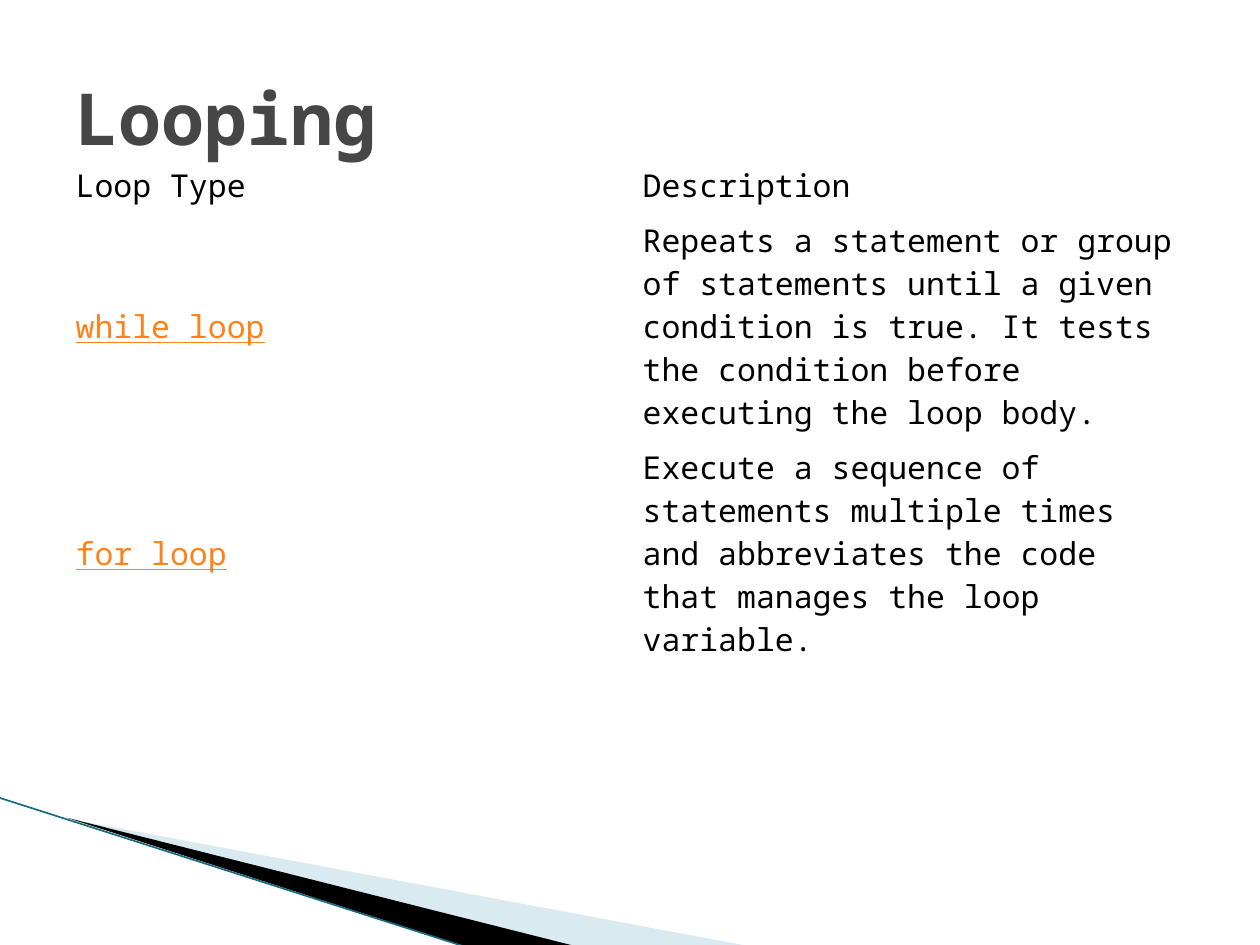
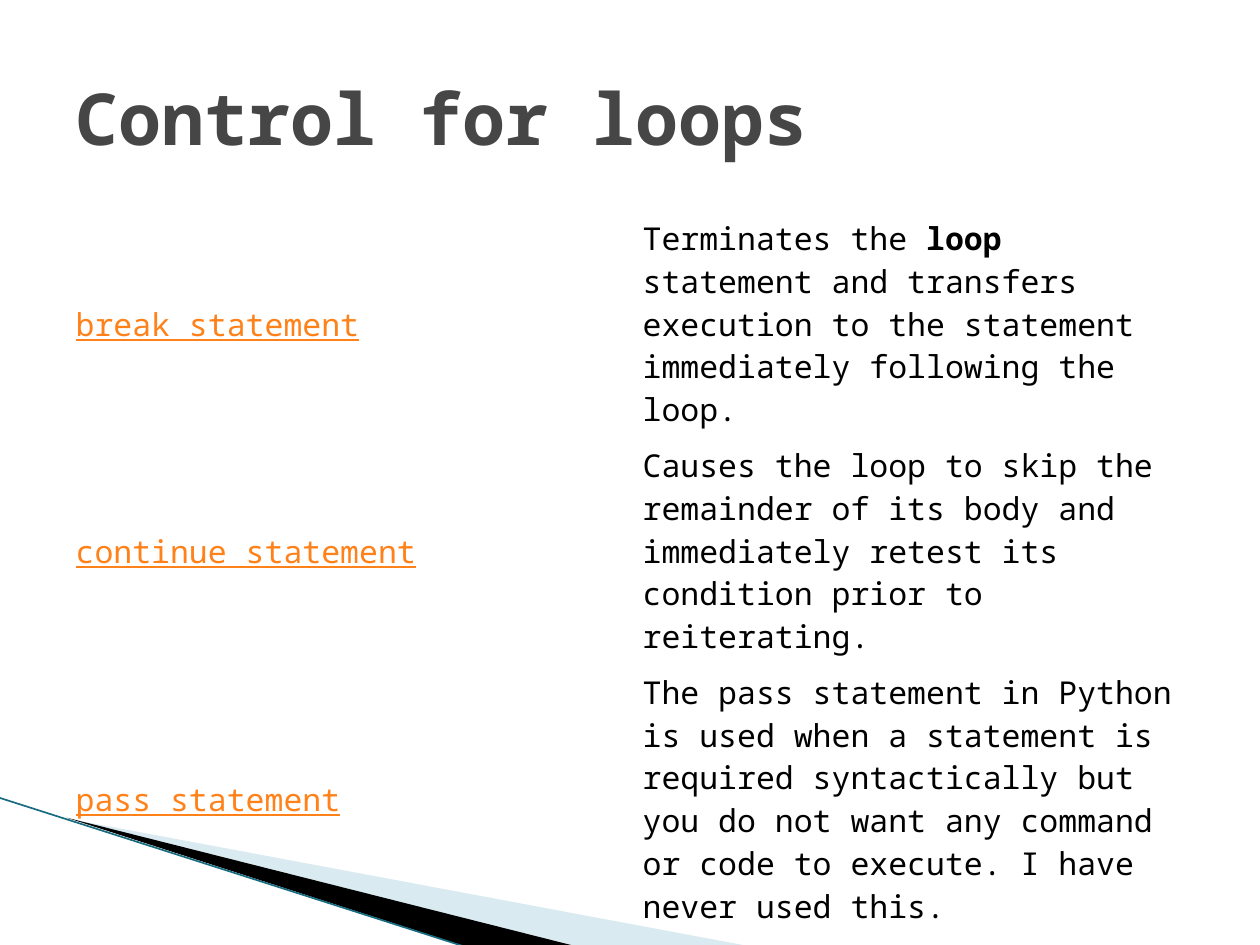
"""Build two slides on Python loops and the statements that control them."""
import pptx
import pptx.dml.color
import pptx.enum.text
import pptx.oxml.ns
import pptx.util
from lxml import etree

Inches = pptx.util.Inches
Pt = pptx.util.Pt
qn = pptx.oxml.ns.qn
MIDDLE = pptx.enum.text.MSO_ANCHOR.MIDDLE
LEFT = pptx.enum.text.PP_ALIGN.LEFT


def rgb(hex_colour):
    """Turn a hex string into a colour."""
    return pptx.dml.color.RGBColor.from_string(hex_colour)


class LoopDeck:
    """Hold the shared style and the current slide."""

    FONT = "Noto Sans Mono"
    TITLE, TEXT, LINK = "464646", "000000", "FF8119"
    PALE, DARK, EDGE = "A0CBDC", "000000", "186C80"
    MARGIN, WIDTH = 0.5, 9
    LINE_HEIGHT, CELL_PADDING = 0.34, 0.1
    NO_GRID = "{2D5ABB26-0587-4C30-8999-92F81FD0307C}"

    def __init__(self):
        """Start an empty 10 by 7.5 inch presentation."""
        self.deck = pptx.Presentation()
        self.deck.slide_width = Inches(10)
        self.deck.slide_height = Inches(7.5)
        self.slide = None

    def add_slide(self, heading):
        """Add a slide with its corner wedges and title."""
        self.slide = self.deck.slides.add_slide(self.deck.slide_layouts[5])
        self.wedge([(0.55, 6.5), (5.95, 7.51), (4.56, 7.51)], self.PALE, 40)
        self.wedge([(0.53, 6.49), (4.57, 7.51), (3.72, 7.52)], self.DARK)
        self.edge((-0.01, 6.33), (3.71, 7.52))
        self.title(heading)

    def style(self, font, size, colour, bold=False, underline=False):
        """Format a font in the deck's typeface."""
        font.name = self.FONT
        font.size = Pt(size)
        font.color.rgb = rgb(colour)
        font.bold = bold
        font.underline = underline

    def title(self, heading):
        """Place and format the title placeholder."""
        title = self.slide.shapes.title
        title.left, title.top = Inches(self.MARGIN), Inches(0.3)
        title.width, title.height = Inches(self.WIDTH), Inches(1.25)
        title.text_frame.text = heading
        title.text_frame.auto_size = pptx.enum.text.MSO_AUTO_SIZE.NONE
        title.text_frame.vertical_anchor = MIDDLE
        paragraph = title.text_frame.paragraphs[0]
        paragraph.alignment = LEFT
        self.style(paragraph.font, 41, self.TITLE, bold=True)

    def wedge(self, corners, colour, opacity=100):
        """Draw a filled wedge through the given corners."""
        points = [(Inches(x), Inches(y)) for x, y in corners]
        builder = self.slide.shapes.build_freeform(*points[0])
        builder.add_line_segments(points[1:], close=True)
        wedge = builder.convert_to_shape()
        wedge.shadow.inherit = False
        wedge.line.fill.background()
        wedge.fill.solid()
        wedge.fill.fore_color.rgb = rgb(colour)
        if opacity < 100:
            tint = next(wedge.element.spPr.iter(qn("a:srgbClr")))
            etree.SubElement(tint, qn("a:alpha"), val=str(opacity * 1000))

    def edge(self, start, end):
        """Draw the thin line along the wedges."""
        ends = [Inches(length) for length in (*start, *end)]
        edge = self.slide.shapes.add_connector(
            pptx.enum.shapes.MSO_CONNECTOR.STRAIGHT, *ends)
        edge.line.color.rgb = rgb(self.EDGE)
        edge.line.width = Pt(0.95)
        etree.SubElement(edge.element.spPr, qn("a:effectLst"))

    def table(self, top, entries, header=None):
        """Lay out terms and descriptions, each with its line count."""
        rows = ([(*header, 1)] if header else []) + entries
        heights = [lines * self.LINE_HEIGHT + self.CELL_PADDING
                   for _, _, lines in rows]
        frame = self.slide.shapes.add_table(
            len(rows), 2, Inches(self.MARGIN), Inches(top),
            Inches(self.WIDTH), Inches(sum(heights)))
        next(frame.element.iter(qn("a:tableStyleId"))).text = self.NO_GRID
        table = frame.table
        table.first_row = bool(header)
        table.horz_banding = False
        for index, (term, description, _) in enumerate(rows):
            table.rows[index].height = Inches(heights[index])
            is_link = not (header and index == 0)
            self.cell(table.cell(index, 0), term, is_link)
            self.cell(table.cell(index, 1), description)

    def cell(self, cell, text, is_link=False):
        """Fill a cell, with bold text between double asterisks."""
        cell.fill.background()
        cell.vertical_anchor = MIDDLE
        paragraph = cell.text_frame.paragraphs[0]
        colour = self.LINK if is_link else self.TEXT
        self.style(paragraph.font, 18, colour, underline=is_link)
        for index, part in enumerate(text.split("**")):
            run = paragraph.add_run()
            run.text = part
            self.style(run.font, 18, colour, index % 2 == 1, is_link)


loops = LoopDeck()

loops.add_slide("Looping")
loops.table(1.25, [
    ("while loop",
     "Repeats a statement or group of statements until a given condition "
     "is true. It tests the condition before executing the loop body.", 5),
    ("for loop",
     "Execute a sequence of statements multiple times and abbreviates the "
     "code that manages the loop variable.", 5),
], header=("Loop Type", "Description"))

loops.add_slide("Control for loops")
loops.table(1.67, [
    ("break statement",
     "Terminates the **loop** statement and transfers execution to the "
     "statement immediately following the loop.", 5),
    ("continue statement",
     "Causes the loop to skip the remainder of its body and immediately "
     "retest its condition prior to reiterating.", 5),
    ("pass statement",
     "The pass statement in Python is used when a statement is required "
     "syntactically but you do not want any command or code to execute. "
     "I have never used this.", 6),
])

loops.deck.save("out.pptx")
